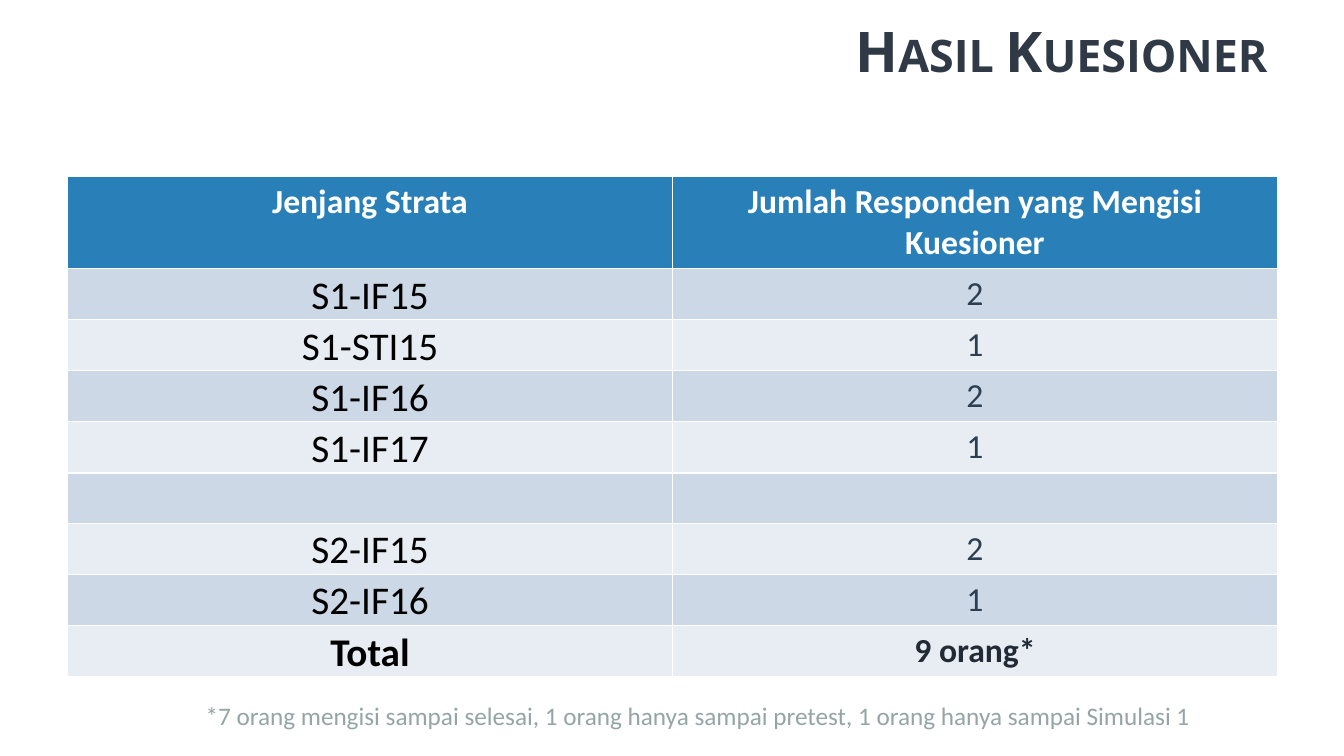
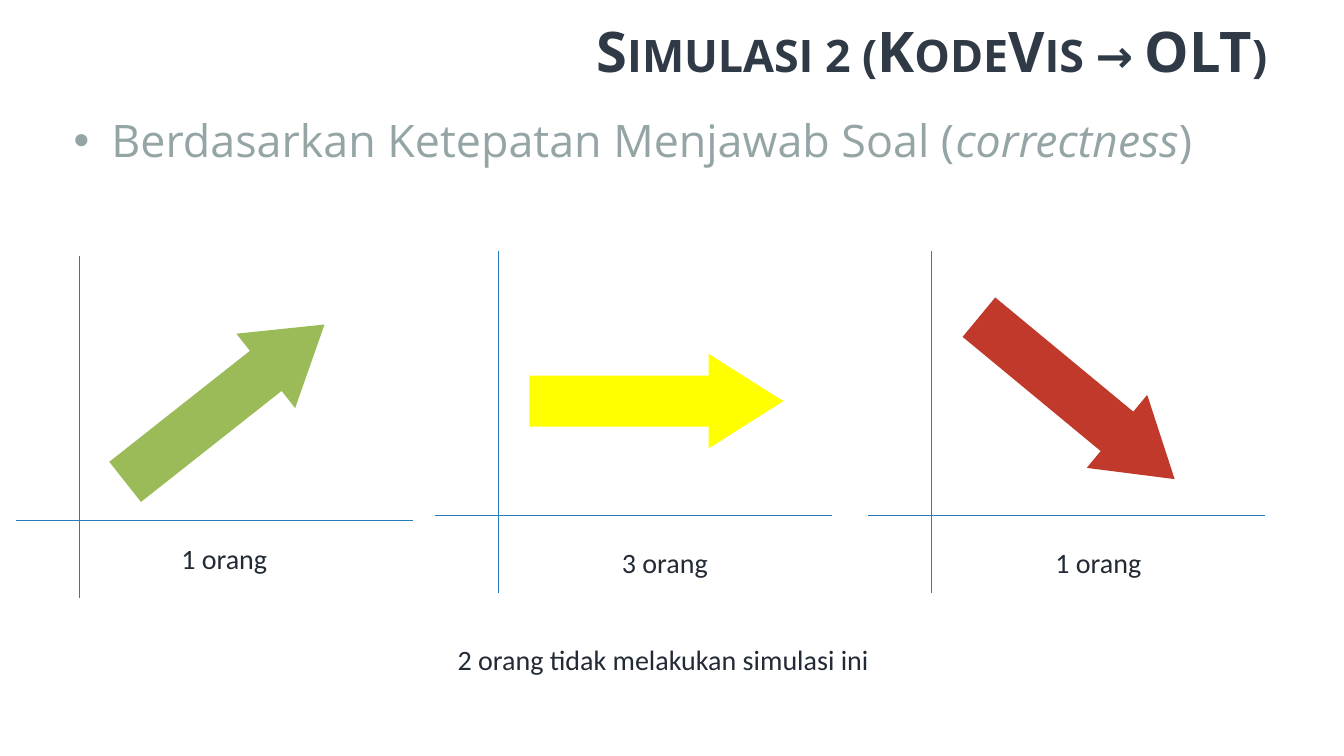
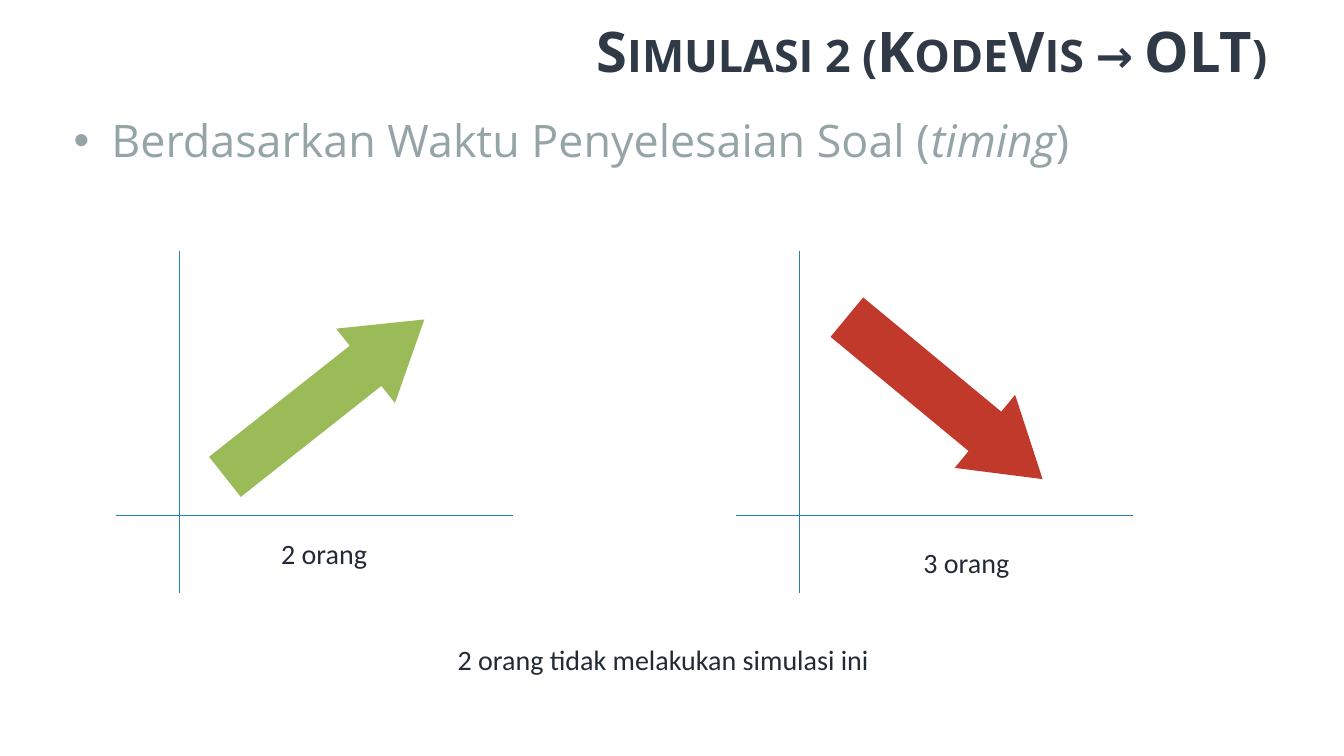
"""Builds three slides of questionnaire results: a table and two trend overviews."""
from pptx import Presentation
from pptx import util as u
from pptx.dml.color import RGBColor
from pptx.enum import shapes, text
from pptx.oxml.ns import qn
from pptx.util import Inches

COLORS = {"title": "2F3A46", "muted": "95A5A6", "dark": "222A35", "value": "2C3E50",
          "black": "000000", "white": "FFFFFF", "header": "2980B9", "band_dark": "CDD8E6",
          "band_light": "E8EDF3", "axis": "257EB8", "up": "9BBB59", "flat": "FFFF00",
          "down": "C0392B"}
HEADING, BODY = "Open Sans", "Calibri"

HEADERS = ("Jenjang Strata", "Jumlah Responden yang Mengisi Kuesioner")
ROWS = [("S1-IF15", "2"), ("S1-STI15", "1"), ("S1-IF16", "2"), ("S1-IF17", "1"),
        ("", ""), ("S2-IF15", "2"), ("S2-IF16", "1"), ("Total", "9 orang*")]
TABLE_NOTE = ("*7 orang mengisi sampai selesai, 1 orang hanya sampai pretest, "
              "1 orang hanya sampai Simulasi 1")

SIMULATION = "Simulasi 2 (KodeVis → OLT)"
SKIPPED = "2 orang tidak melakukan simulasi ini"
TREND_SLIDES = [
    {"lead": "Berdasarkan Ketepatan Menjawab Soal (", "term": "correctness",
     "panels": [("up", "1 orang", 0.16, 0.05), ("flat", "3 orang", 4.31, 0),
                ("down", "1 orang", 8.61, 0)]},
    {"lead": "Berdasarkan Waktu Penyelesaian Soal (", "term": "timing",
     "panels": [("up", "2 orang", 1.15, 0), ("down", "3 orang", 7.3, 0)]},
]
TRENDS = {"up": {"rotation": 321.7, "arrow": (0.81, 3.48), "label": (1.54, 5.27)},
          "flat": {"rotation": 0, "arrow": (0.94, 3.51), "label": (1.76, 5.36)},
          "down": {"rotation": 39.6, "arrow": (0.81, 3.48), "label": (1.76, 5.36)}}


def rgb(name):
    return RGBColor.from_string(COLORS[name])


def write(p, content, size=20, color="dark", font=BODY, bold=False, italic=False,
          align=None, small_caps=False):
    r = p.add_run()
    r.text = content
    r.font.size, r.font.name = u.Pt(size), font
    r.font.bold, r.font.italic = bold, italic
    r.font.color.rgb = rgb(color)
    if align is not None:
        p.alignment = align
    if small_caps:
        r.font._element.set("cap", "small")


def place(sp, left, top, width, height):
    sp.left, sp.top = Inches(left), Inches(top)
    sp.width, sp.height = Inches(width), Inches(height)


def add_slide(prs, layout, title):
    s = prs.slides.add_slide(prs.slide_layouts[layout])
    place(s.shapes.title, 0.67, 0.16, 12, 0.68)
    tf = s.shapes.title.text_frame
    tf.auto_size = text.MSO_AUTO_SIZE.NONE
    tf.vertical_anchor = text.MSO_ANCHOR.MIDDLE
    write(tf.paragraphs[0], title, size=40, color="title", font=HEADING, bold=True,
          align=text.PP_ALIGN.RIGHT, small_caps=True)
    return s


def add_label(s, content, left, top, width, height=0.44, **fmt):
    tf = s.shapes.add_textbox(Inches(left), Inches(top), Inches(width),
                              Inches(height)).text_frame
    tf.word_wrap = False
    tf.auto_size = text.MSO_AUTO_SIZE.SHAPE_TO_FIT_TEXT
    write(tf.paragraphs[0], content, **fmt)


def add_axis(s, x1, y1, x2, y2):
    line = s.shapes.add_connector(shapes.MSO_CONNECTOR.STRAIGHT, Inches(x1), Inches(y1),
                                  Inches(x2), Inches(y2))
    line.line.color.rgb = rgb("axis")
    line.line.width = u.Pt(0.75)
    sp_pr = line._element.spPr
    sp_pr.append(sp_pr.makeelement(qn("a:effectLst"), {}))


def add_panel(s, trend, label, left, drop):
    look = TRENDS[trend]
    x, y = look["arrow"]
    arrow = s.shapes.add_shape(shapes.MSO_SHAPE.RIGHT_ARROW, Inches(left + x),
                               Inches(y + drop), Inches(2.52), Inches(0.94))
    arrow.adjustments[0], arrow.adjustments[1] = 0.54, 0.79
    arrow.rotation = look["rotation"]
    arrow.shadow.inherit = False
    arrow.fill.solid()
    arrow.fill.fore_color.rgb = rgb(trend)
    arrow.line.fill.background()
    add_axis(s, left + 0.63, 2.49 + drop, left + 0.63, 5.88 + drop)
    add_axis(s, left, 5.11 + drop, left + 3.94, 5.11 + drop)
    x, y = look["label"]
    add_label(s, label, left + x, y + drop, 1.06)


def fill_cell(cell, content, fill, **fmt):
    cell.fill.solid()
    cell.fill.fore_color.rgb = rgb(fill)
    if content:
        write(cell.text_frame.paragraphs[0], content, align=text.PP_ALIGN.CENTER, **fmt)


def add_results(s):
    table = s.shapes.add_table(len(ROWS) + 1, 2, Inches(0.67), Inches(1.75), Inches(12),
                               Inches(4.96)).table
    table.rows[0].height = Inches(0.9)
    for cell, header in zip(table.rows[0].cells, HEADERS):
        fill_cell(cell, header, "header", size=24, color="white", bold=True)
    for i, (level, count) in enumerate(ROWS, 1):
        table.rows[i].height = Inches(0.5)
        band = "band_dark" if i % 2 else "band_light"
        total = i == len(ROWS)
        name, value = table.rows[i].cells
        if level:
            name.vertical_anchor = text.MSO_ANCHOR.BOTTOM
            name.margin_left = name.margin_right = name.margin_top = Inches(0.01)
            name.margin_bottom = 0
        fill_cell(name, level, band, size=28, color="black", bold=total)
        fill_cell(value, count, band, size=24, color="dark" if total else "value",
                  bold=total)


def add_trends(prs, lead, term, panels):
    s = add_slide(prs, 1, SIMULATION)
    body = s.placeholders[1]
    place(body, 0.63, 1.07, 12, 4.95)
    p = body.text_frame.paragraphs[0]
    for content, italic in ((lead, False), (term, True), (")", False)):
        write(p, content, size=32, color="muted", font=HEADING, italic=italic)
    for panel in panels:
        add_panel(s, *panel)
    add_label(s, SKIPPED, 4.44, 6.32, 4.32)


def main():
    prs = Presentation()
    prs.slide_width, prs.slide_height = Inches(13.33), Inches(7.5)
    s = add_slide(prs, 5, "Hasil Kuesioner")
    add_results(s)
    add_label(s, TABLE_NOTE, 1.94, 6.9, 10.08, 0.4, size=18, color="muted")
    for trend_slide in TREND_SLIDES:
        add_trends(prs, **trend_slide)
    prs.save("out.pptx")


if __name__ == "__main__":
    main()
